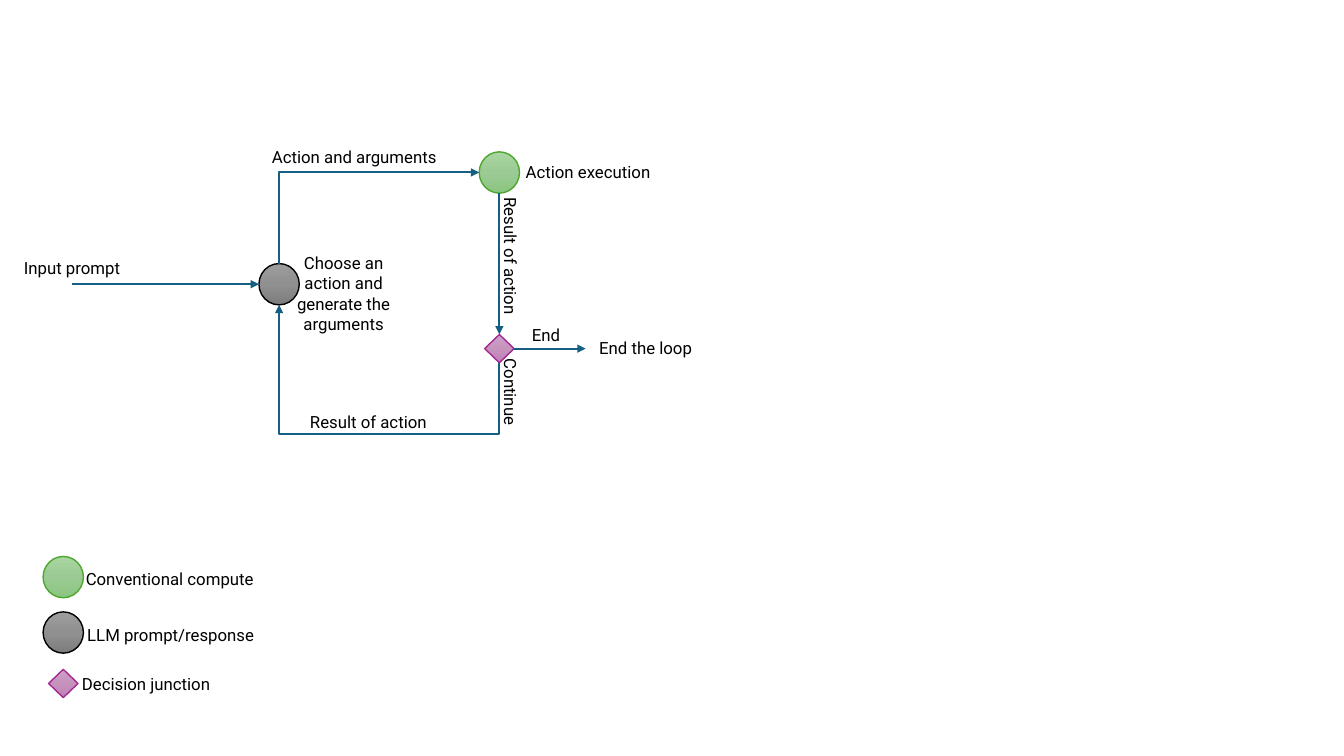
from copy import deepcopy
from dataclasses import dataclass

from lxml.etree import SubElement
from pptx import Presentation
from pptx.dml.color import RGBColor
from pptx.enum.shapes import MSO_CONNECTOR, MSO_SHAPE
from pptx.enum.text import MSO_ANCHOR, MSO_AUTO_SIZE, PP_ALIGN
from pptx.oxml.ns import qn
from pptx.shapes.autoshape import Shape
from pptx.shapes.connector import Connector
from pptx.util import Pt

TEXT = {"name": "Roboto", "size": Pt(12)}
FRAME = {"word_wrap": True, "auto_size": MSO_AUTO_SIZE.SHAPE_TO_FIT_TEXT,
         "vertical_anchor": MSO_ANCHOR.TOP}
BLUE = "156082"
TOP, LEFT, BOTTOM, RIGHT = range(4)


@dataclass(frozen=True)
class Kind:
    form: MSO_SHAPE
    wide: float
    high: float
    shades: tuple[str, str, str]
    edge: str


@dataclass(frozen=True)
class Node:
    """A mark placed by its centre."""
    kind: Kind
    x: float
    y: float


@dataclass(frozen=True)
class Label:
    """A text placed by its centre."""
    text: str
    x: float
    y: float
    wide: float = 136
    high: float = 21.8
    turn: int = 0


COMPUTE = Kind(MSO_SHAPE.OVAL, 28.8, 29.5, ("A8D5A0", "9CCA94", "8AC680"), "4EA72E")
PROMPT = Kind(MSO_SHAPE.OVAL, 28.8, 29.5, ("9D9D9D", "909090", "7C7C7C"), "000000")
CHOICE = Kind(MSO_SHAPE.DIAMOND, 21, 20.2, ("D0A0C8", "C693BD", "C17FB6"), "A02B93")

CHOOSE = Node(PROMPT, 199.4, 203)
ACT = Node(COMPUTE, 356.7, 123.2)
JUDGE = Node(CHOICE, 356.7, 249)
LEGEND = [Node(COMPUTE, 45.2, 412.2), Node(PROMPT, 45.2, 451.8),
          Node(CHOICE, 45.2, 488.2)]

LABELS = [
    Label("Input prompt", 51.5, 191.5),
    Label("Choose an action and generate the arguments", 245.5, 209.9, 100.8, 65.5),
    Label("Action and arguments", 253.1, 112.3),
    Label("Action execution", 420.1, 123.1),
    Label("Result of action", 364.7, 182.9, turn=90),
    Label("End", 390, 239.2),
    Label("End the loop", 461.2, 248.4, 85.7),
    Label("Continue", 364.7, 280, turn=90),
    Label("Result of action", 263.2, 301.7),
    Label("Conventional compute", 121.3, 413.3, 134.6),
    Label("LLM prompt/response", 122, 453.6, 134.6),
    Label("Decision junction", 104.4, 488.9, 110.9),
]


def paint(code: str) -> RGBColor:
    return RGBColor.from_string(code)


def apply(item: object, format: dict) -> None:
    for key, value in format.items():
        setattr(item, key, value)


def side(node: Node, place: int) -> tuple[float, float]:
    """Return the middle of one side of a node."""
    dx, dy = ((0, -0.5), (-0.5, 0), (0, 0.5), (0.5, 0))[place]
    return node.x + dx * node.kind.wide, node.y + dy * node.kind.high


def draw_node(shapes, node: Node) -> Shape:
    kind = node.kind
    mark = shapes.add_shape(kind.form, Pt(node.x - kind.wide / 2),
                            Pt(node.y - kind.high / 2), Pt(kind.wide), Pt(kind.high))
    mark.shadow.inherit = False
    mark.fill.gradient()
    mark.fill.gradient_angle = 270
    stops = next(mark.element.iter(qn("a:gsLst")))
    stops.insert(1, deepcopy(stops[0]))
    for stop, shade, place in zip(mark.fill.gradient_stops, kind.shades, (0, 0.5, 1)):
        stop.color.rgb = paint(shade)
        stop.position = place
    mark.line.color.rgb = paint(kind.edge)
    mark.line.width = Pt(1)
    return mark


def draw_label(shapes, label: Label) -> None:
    box = shapes.add_textbox(Pt(label.x - label.wide / 2), Pt(label.y - label.high / 2),
                             Pt(label.wide), Pt(label.high))
    box.rotation = label.turn
    apply(box.text_frame, FRAME)
    line = box.text_frame.paragraphs[0]
    line.alignment = PP_ALIGN.CENTER
    run = line.add_run()
    run.text = label.text
    apply(run.font, TEXT)
    run.font.color.rgb = paint("000000")


def draw_arrow(shapes, start: tuple[float, float], end: tuple[float, float],
               form: MSO_CONNECTOR = MSO_CONNECTOR.STRAIGHT) -> Connector:
    arrow = shapes.add_connector(form, *map(Pt, start + end))
    arrow.line.color.rgb = paint(BLUE)
    arrow.line.width = Pt(1.5)
    SubElement(arrow.line._get_or_add_ln(), qn("a:tailEnd"), type="triangle")
    SubElement(arrow.element.spPr, qn("a:effectLst"))
    return arrow


def draw_bend(shapes, start: tuple[float, float], end: tuple[float, float],
              form: str, drop: float = 0) -> None:
    """Draw an elbow that leaves upright, running drop points below its start first."""
    mid_x, mid_y = (start[0] + end[0]) / 2, (start[1] + end[1]) / 2
    dx, dy = (end[0] - start[0]) / 2, (end[1] - start[1]) / 2
    # Before its quarter turn the elbow lies with its sides swapped.
    arrow = draw_arrow(shapes, (mid_x - dy, mid_y + dx), (mid_x + dy, mid_y - dx),
                       MSO_CONNECTOR.ELBOW)
    props = arrow.element.spPr
    props.find(qn("a:xfrm")).set("rot", "5400000")
    shape = props.find(qn("a:prstGeom"))
    shape.set("prst", form)
    if drop:
        guides = shape.find(qn("a:avLst"))
        if guides is None:
            guides = SubElement(shape, qn("a:avLst"))
        ratio = round(drop / (2 * dy) * 100000)
        SubElement(guides, qn("a:gd"), name="adj1", fmla=f"val {ratio}")


def main() -> None:
    deck = Presentation()
    deck.slide_width, deck.slide_height = Pt(960), Pt(540)
    shapes = deck.slides.add_slide(deck.slide_layouts[6]).shapes

    for node in [CHOOSE, ACT, *LEGEND]:
        draw_node(shapes, node)
    judge = draw_node(shapes, JUDGE)

    draw_arrow(shapes, (51.5, CHOOSE.y), side(CHOOSE, LEFT))
    check = draw_arrow(shapes, side(ACT, BOTTOM), side(JUDGE, TOP))
    check.end_connect(judge, TOP)
    leave = draw_arrow(shapes, side(JUDGE, RIGHT), (418.3, JUDGE.y))
    leave.begin_connect(judge, RIGHT)
    draw_bend(shapes, side(CHOOSE, TOP), side(ACT, LEFT), "bentConnector2")
    draw_bend(shapes, side(JUDGE, BOTTOM), side(CHOOSE, BOTTOM), "bentConnector3", 51.2)

    for label in LABELS:
        draw_label(shapes, label)
    deck.save("out.pptx")


if __name__ == "__main__":
    main()
